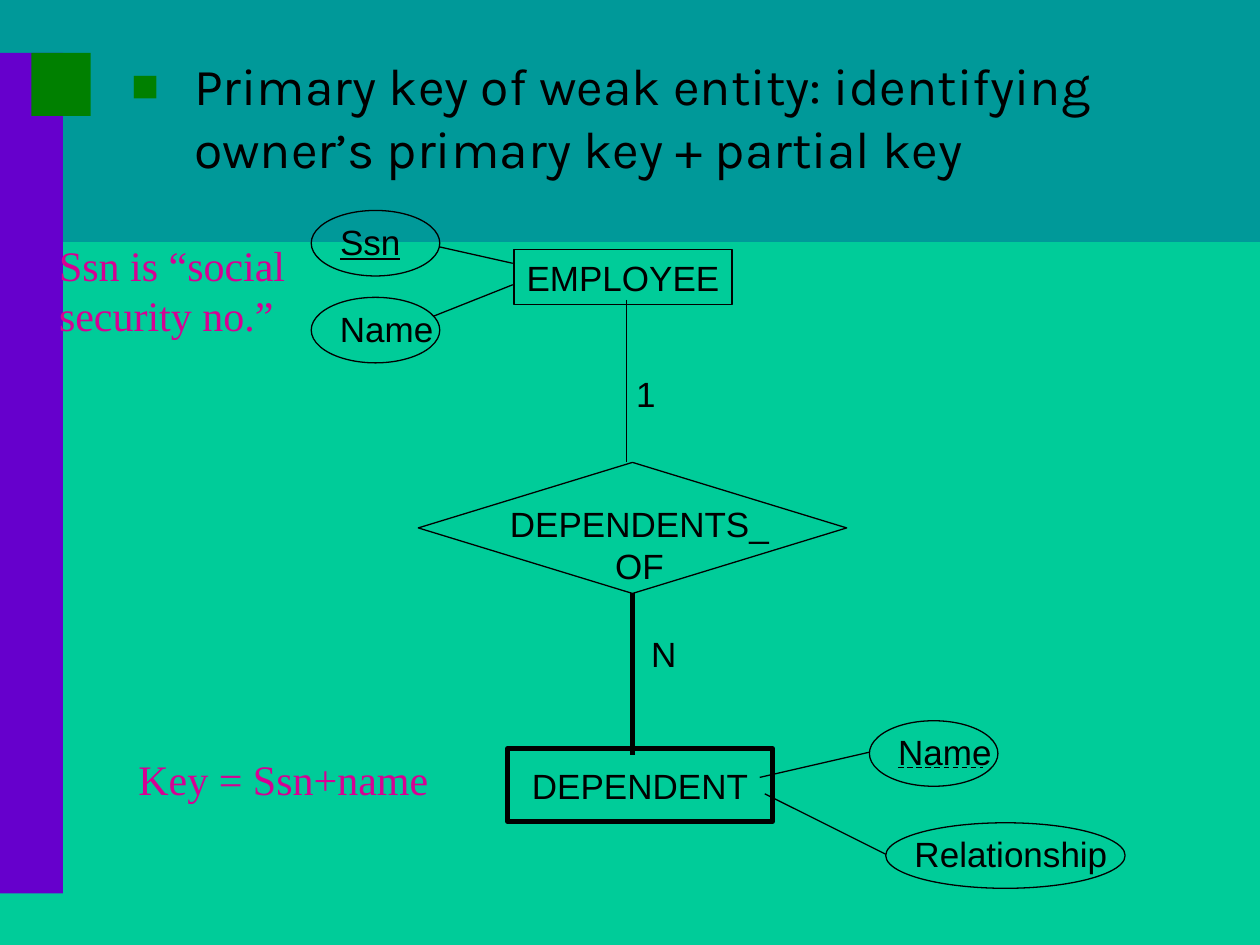
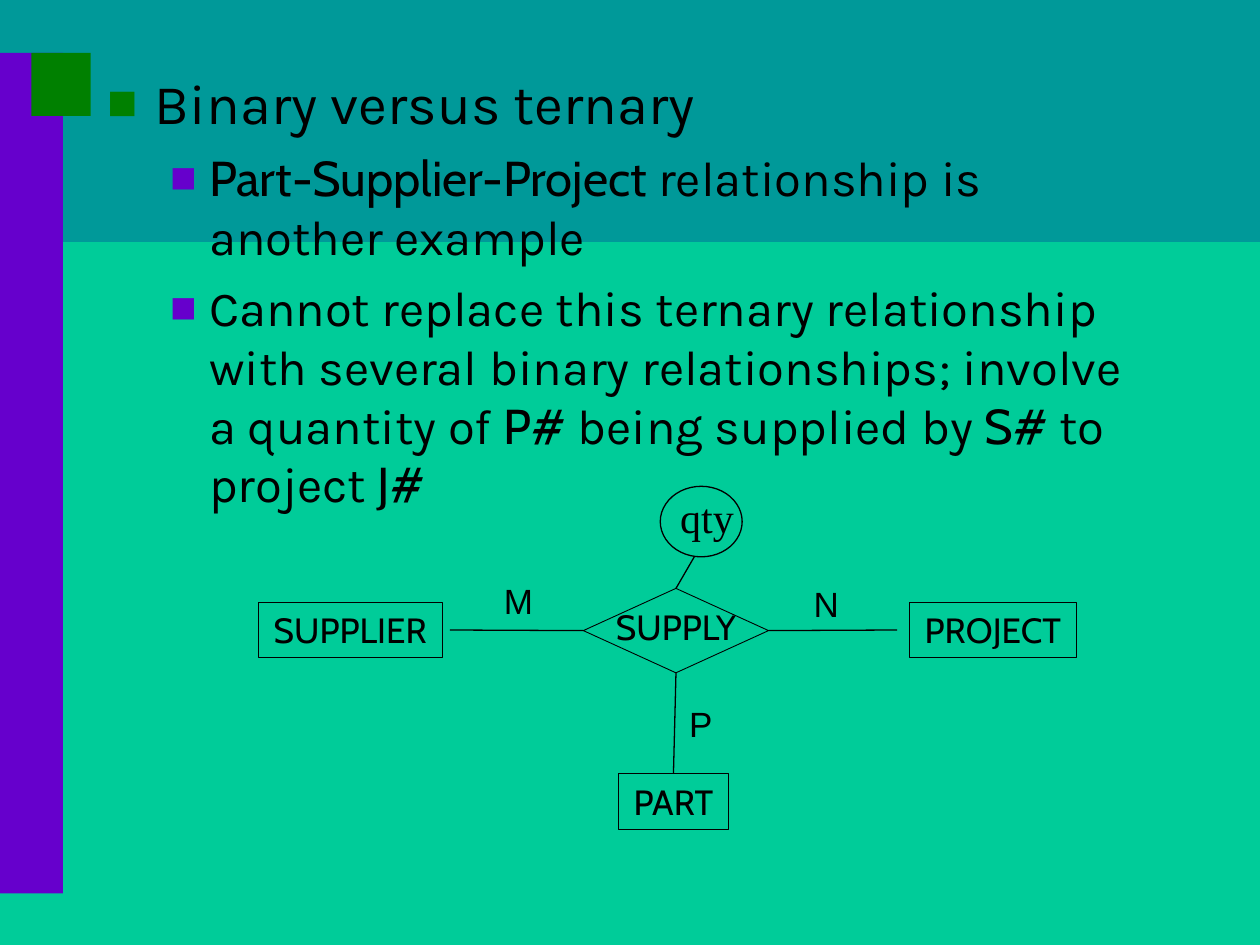
from dataclasses import dataclass

from lxml.etree import SubElement
from pptx import Presentation
from pptx.dml.color import RGBColor
from pptx.enum.dml import MSO_LINE
from pptx.enum.shapes import MSO_CONNECTOR, MSO_SHAPE
from pptx.enum.text import MSO_ANCHOR, MSO_AUTO_SIZE, PP_ALIGN
from pptx.oxml.ns import qn
from pptx.slide import Slide
from pptx.util import Inches, Pt

# Shared palette and formats
BLACK, MAGENTA = "000000", "D60093"
MINT, TEAL, PURPLE, GREEN = "00CC99", "009999", "6600CC", "008000"
ARIAL = {"name": "Arial", "size": Pt(20)}
CABIN = {"name": "Cabin", "size": Pt(20)}
SERIF = {"name": "Times New Roman", "size": Pt(24)}
BOX_TEXT = {"word_wrap": False, "auto_size": MSO_AUTO_SIZE.NONE}
INSETS = {"margin_left": Inches(0.1), "margin_right": Inches(0.1),
          "margin_top": Inches(0.05), "margin_bottom": Inches(0.05)}
NO_INSETS = dict.fromkeys(INSETS, 0)
TOP, LEFT, BOTTOM, RIGHT = range(4)


def rgb(hex_color):
    return RGBColor.from_string(hex_color)


def apply(target, formats):
    for attribute, value in formats.items():
        setattr(target, attribute, value)


def add_run(paragraph, text, font, color=BLACK):
    run = paragraph.add_run()
    run.text = text
    apply(run.font, font)
    run.font.color.rgb = rgb(color)


def inches(*lengths):
    return [Inches(length) for length in lengths]


@dataclass
class Region:
    """Part of a slide whose contents are placed from its top left corner."""
    slide: Slide
    left: float
    top: float

    def place(self, x, y):
        return inches(self.left + x, self.top + y)

    def node(self, kind, x, y, width, height, text="", font=ARIAL,
             weight=0.75, line_spacing=1.0):
        shape = self.slide.shapes.add_shape(
            kind, *self.place(x, y), *inches(width, height))
        shape.shadow.inherit = False
        shape.fill.background()
        shape.line.color.rgb = rgb(BLACK)
        shape.line.width = Pt(weight)
        if text:
            apply(shape.text_frame, {**BOX_TEXT, **NO_INSETS,
                                     "vertical_anchor": MSO_ANCHOR.MIDDLE})
            paragraph = shape.text_frame.paragraphs[0]
            apply(paragraph, {"alignment": PP_ALIGN.CENTER,
                              "line_spacing": line_spacing})
            add_run(paragraph, text, font)
        return shape

    def label(self, x, y, width, height, *lines, font=ARIAL, color=BLACK,
              alignment=PP_ALIGN.LEFT):
        box = self.slide.shapes.add_textbox(
            *self.place(x, y), *inches(width, height))
        frame = box.text_frame
        apply(frame, {**BOX_TEXT, **INSETS})
        for index, line in enumerate(lines):
            paragraph = frame.add_paragraph() if index else frame.paragraphs[0]
            paragraph.alignment = alignment
            add_run(paragraph, line, font, color)

    def attribute(self, x, y, width, text, text_width, font=ARIAL):
        self.node(MSO_SHAPE.OVAL, x, y, width, 0.52)
        self.label(x + 0.13, y + 0.03, text_width, 0.44, text, font=font)

    def link(self, start, end, begin_at=None, end_at=None, weight=0.75, dash=None):
        line = self.slide.shapes.add_connector(
            MSO_CONNECTOR.STRAIGHT, *self.place(*start), *self.place(*end))
        line.line.color.rgb = rgb(BLACK)
        apply(line.line, {"width": Pt(weight), "dash_style": dash})
        SubElement(line.element.spPr, qn("a:effectLst"))
        if begin_at:
            line.begin_connect(*begin_at)
        if end_at:
            line.end_connect(*end_at)


def add_master_bands(master, slide):
    """Background and the three colour bands, shared by all slides."""
    master.background.fill.solid()
    master.background.fill.fore_color.rgb = rgb(MINT)
    bands = [(TEAL, 0, 0, 10, 1.92), (PURPLE, 0, 0.42, 0.5, 6.67),
             (GREEN, 0.25, 0.42, 0.47, 0.5)]
    for order, (color, *box) in enumerate(bands):
        band = slide.shapes.add_shape(MSO_SHAPE.RECTANGLE, *inches(*box))
        band.shadow.inherit = False
        band.fill.solid()
        band.fill.fore_color.rgb = rgb(color)
        band.line.fill.background()
        band.element.nvSpPr.cNvPr.set("id", str(101 + order))
        master.shapes.element.insert(2 + order, band.element)


def add_bullet(paragraph, indent, hanging, color):
    properties = paragraph._p.get_or_add_pPr()
    properties.set("marL", str(Inches(indent)))
    properties.set("indent", str(-Inches(hanging)))
    bullet_color = SubElement(properties, qn("a:buClr"))
    SubElement(bullet_color, qn("a:srgbClr"), val=color)
    SubElement(properties, qn("a:buSzPct"), val="90000")
    SubElement(properties, qn("a:buFont"), typeface="Arial")
    SubElement(properties, qn("a:buChar"), char="■")


def fill_body(slide, box, items, size, indent):
    """Bulleted list; each item is a level and its (text, font name) runs."""
    title = slide.shapes.title.element
    title.getparent().remove(title)
    body = slide.placeholders[1]
    apply(body, dict(zip(("left", "top", "width", "height"), inches(*box))))
    frame = body.text_frame
    apply(frame, {**INSETS, "word_wrap": True, "auto_size": MSO_AUTO_SIZE.NONE,
                  "vertical_anchor": MSO_ANCHOR.TOP})
    levels = [(indent, indent, GREEN, size), (0.81, 0.31, PURPLE, 28)]
    for index, (level, runs) in enumerate(items):
        paragraph = frame.add_paragraph() if index else frame.paragraphs[0]
        *bullet, points = levels[level]
        add_bullet(paragraph, *bullet)
        apply(paragraph, {"level": level, "alignment": PP_ALIGN.LEFT,
                          "line_spacing": 1.0,
                          "space_before": Pt(7 if index else 0)})
        for text, name in runs:
            add_run(paragraph, text, {"name": name, "size": Pt(points)})


def draw_weak_entity(region):
    # Entities and their identifying relationship
    region.node(MSO_SHAPE.RECTANGLE, 2.08, 0.48, 1.73, 0.44, "EMPLOYEE")
    dependents_of = region.node(MSO_SHAPE.DIAMOND, 1.32, 2.17, 3.4, 1.04)
    region.label(1.95, 2.44, 2.25, 0.77, "DEPENDENTS_", "OF",
                 alignment=PP_ALIGN.CENTER)
    region.node(MSO_SHAPE.RECTANGLE, 2.03, 4.44, 2.1, 0.58, "DEPENDENT", weight=3)
    region.link((2.97, 0.88), (2.97, 2.17))
    region.link((3.02, 4.49), (3.02, 3.21), end_at=(dependents_of, BOTTOM), weight=3)
    region.label(2.95, 1.41, 0.35, 0.44, "1")
    region.label(3.07, 3.47, 0.4, 0.44, "N")

    # Employee attributes
    region.attribute(0.47, 0.17, 1.02, "Ssn", 0.68, {**ARIAL, "underline": True})
    region.attribute(0.47, 0.86, 1.02, "Name", 0.94)
    region.link((2.07, 0.59), (1.49, 0.46))
    region.link((2.07, 0.76), (1.44, 1.01))

    # Dependent attributes, with the partial key underlined by dashes
    region.attribute(4.9, 4.22, 1.02, "Name", 0.94)
    region.attribute(5.03, 5.03, 1.9, "Relationship", 1.73)
    region.link((5.13, 4.59), (5.8, 4.59), dash=MSO_LINE.DASH)
    region.link((4.9, 4.47), (4.03, 4.67))
    region.link((5.03, 5.28), (4.07, 4.8))


def write_key_notes(region):
    note = {"font": SERIF, "color": MAGENTA}
    region.label(0, 0, 1.99, 0.9, "Ssn is “social", "security no.”", **note)
    region.label(0.63, 4.08, 2.5, 0.5, "Key = Ssn+name", **note)


def draw_ternary(region):
    # Relationship and its three entities
    supply = region.node(MSO_SHAPE.FLOWCHART_DECISION, 2.63, 1.17, 1.47, 0.67,
                         "SUPPLY", CABIN, 0.5, line_spacing=0.8)
    entities = [("SUPPLIER", 0.05, 1.28, 1.46), ("PROJECT", 5.22, 1.28, 1.32),
                ("PART", 2.91, 2.64, 0.87)]
    supplier, project, part = [
        region.node(MSO_SHAPE.RECTANGLE, x, y, width, 0.44, name, CABIN, 0.5)
        for name, x, y, width in entities]
    region.link((1.57, 1.5), (2.63, 1.5), end_at=(supply, LEFT))
    region.link((4.1, 1.5), (5.12, 1.5), begin_at=(supply, RIGHT))
    region.link((3.36, 1.84), (3.35, 2.64), (supply, BOTTOM), (part, TOP))

    # Cardinalities
    for letter, x, y, width in [("M", 1.9, 1.05, 0.43), ("N", 4.36, 1.07, 0.4),
                                ("P", 3.37, 2.03, 0.38)]:
        region.label(x, y, width, 0.44, letter)

    # Relationship attribute
    region.node(MSO_SHAPE.OVAL, 3.24, 0.36, 0.65, 0.56)
    region.label(3.3, 0.35, 0.62, 0.5, "qty", font=SERIF)
    region.link((3.51, 0.92), (3.36, 1.17), end_at=(supply, TOP))


def main():
    presentation = Presentation()
    presentation.slide_width, presentation.slide_height = inches(10, 7.5)
    layout = presentation.slide_layouts[1]
    weak_entity = presentation.slides.add_slide(layout)
    ternary = presentation.slides.add_slide(layout)
    add_master_bands(presentation.slide_master, weak_entity)

    # Weak entity key
    fill_body(weak_entity, (0.94, 0.38, 8.5, 1.46), [
        (0, [("Primary key of weak entity: identifying owner’s primary key "
              "+ partial key", "Karla")]),
    ], size=29.6, indent=0.5)
    draw_weak_entity(Region(weak_entity, 2, 1.5))
    write_key_notes(Region(weak_entity, 0.37, 1.85))

    # Binary versus ternary
    fill_body(ternary, (0.75, 0.49, 8.5, 4.5), [
        (0, [("Binary versus ternary", "Karla")]),
        (1, [("Part-Supplier-Project", "Cabin"),
             (" relationship is another example", "Karla")]),
        (1, [("Cannot replace this ternary relationship with several binary "
              "relationships; involve a quantity of ", "Karla"),
             ("P#", "Cabin"), (" being supplied by ", "Karla"),
             ("S#", "Cabin"), (" to project ", "Karla"), ("J#", "Cabin")]),
    ], size=32, indent=0.38)
    draw_ternary(Region(ternary, 2, 3.5))

    presentation.save("out.pptx")


if __name__ == "__main__":
    main()
